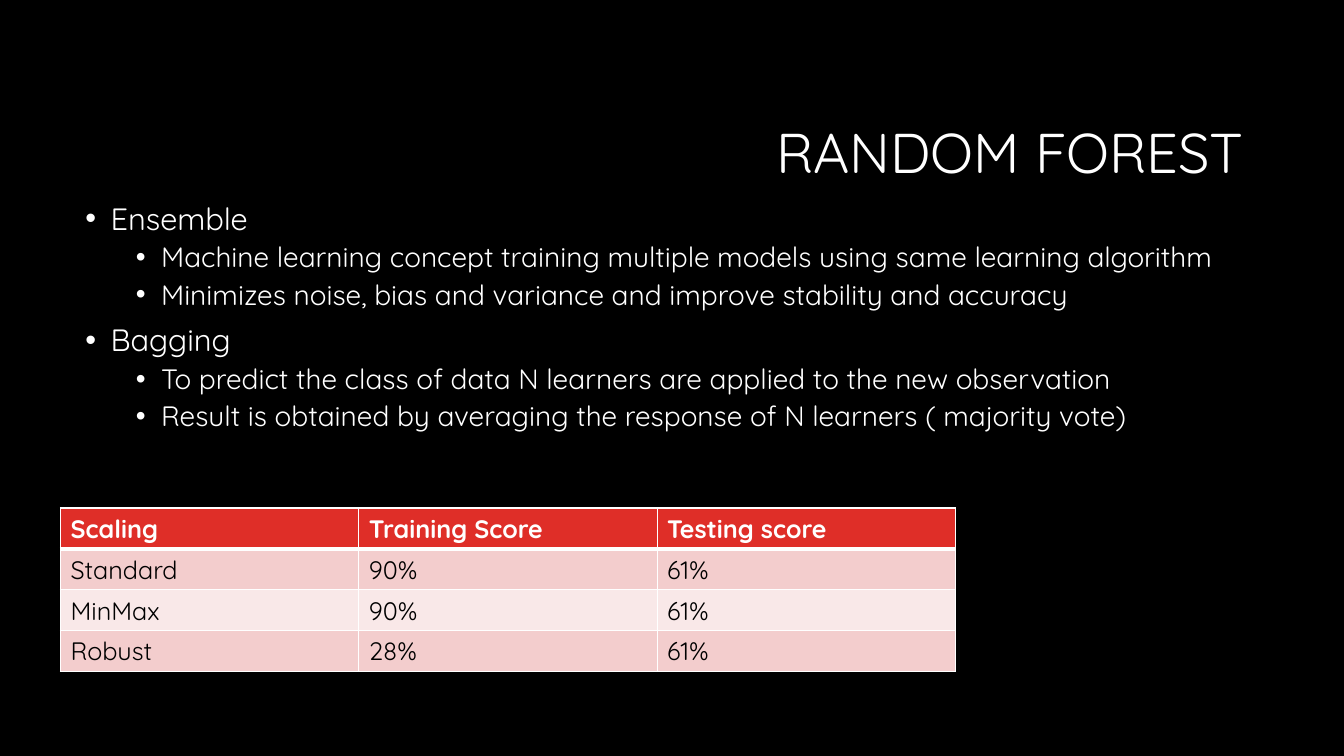
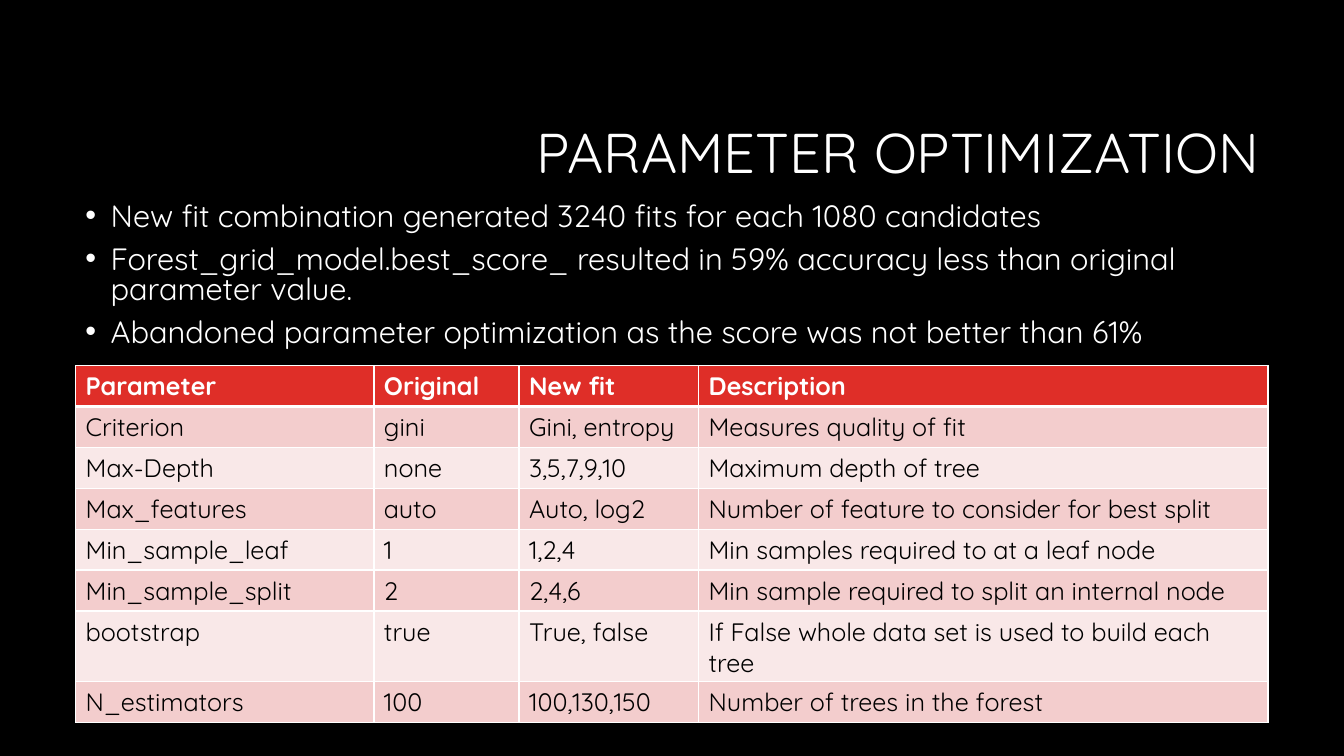
from dataclasses import dataclass

from lxml import etree
from pptx import Presentation
from pptx.dml.color import RGBColor
from pptx.enum.text import MSO_ANCHOR, PP_ALIGN
from pptx.oxml.ns import qn
from pptx.util import Pt

RIGHT = PP_ALIGN.RIGHT
MIDDLE = MSO_ANCHOR.MIDDLE
TOP = MSO_ANCHOR.TOP


@dataclass(frozen=True)
class Theme:
    font: str = "Quicksand"
    background: str = "000000"
    light: str = "FFFFFF"
    dark: str = "000000"
    header: str = "DF2E28"
    bands: tuple = ("F3CDCD", "F9E8E8")
    title_size: float = 40
    bullet_sizes: tuple = (22, 20)
    cell_size: float = 18
    thin: float = 1
    thick: float = 3


THEME = Theme()

# Shared layout, in points
SLIDE_W, SLIDE_H = 960, 540
LEFT, BODY_TOP, BODY_W = 54, 141.8, 851.8
TITLE_BOX = (228.2, 60.5, 678.2, 101.5)
ROW_H = 29.2
INDENT = 18
BULLET_LEFT = (18, 54)
SPACE_BEFORE = (10, 5)

# Slide content: bullets are (level, text)
FOREST_BULLETS = [
    (0, "Ensemble"),
    (1, "Machine learning concept training multiple models using same learning algorithm"),
    (1, "Minimizes noise, bias and variance and improve stability and accuracy"),
    (0, "Bagging"),
    (1, "To predict the class of data N learners are applied to the new observation"),
    (1, "Result is obtained by averaging the response of N learners ( majority vote)"),
]
FOREST_SCORES = [
    ("Scaling", "Training Score", "Testing score"),
    ("Standard", "90%", "61%"),
    ("MinMax", "90%", "61%"),
    ("Robust", "28%", "61%"),
]
TUNING_BULLETS = [
    (0, "New fit combination generated 3240 fits for each 1080 candidates"),
    (0, "Forest_grid_model.best_score_ resulted in 59% accuracy less than original parameter value."),
    (0, "Abandoned parameter optimization as the score was not better than 61%"),
]
TUNING_PARAMETERS = [
    ("Parameter", "Original", "New fit", "Description"),
    ("Criterion", "gini", "Gini, entropy", "Measures quality of fit"),
    ("Max-Depth", "none", "3,5,7,9,10", "Maximum depth of tree"),
    ("Max_features", "auto", "Auto, log2", "Number of feature to consider for best split"),
    ("Min_sample_leaf", "1", "1,2,4", "Min samples required to at a leaf node"),
    ("Min_sample_split", "2", "2,4,6", "Min sample required to split an internal node"),
    ("bootstrap", "true", "True, false", "If False whole data set is used to build each tree"),
    ("N_estimators", "100", "100,130,150", "Number of trees in the forest"),
]


def rgb(color):
    return RGBColor.from_string(color)


def add_run(p, text, size, color, bold=False):
    r = p.add_run()
    r.text = text
    r.font.name = THEME.font
    r.font.size = Pt(size)
    r.font.bold = bold
    r.font.color.rgb = rgb(color)


def add_text_frame(s, box, anchor):
    tf = s.shapes.add_textbox(*map(Pt, box)).text_frame
    tf.word_wrap = True
    tf.vertical_anchor = anchor
    return tf


def add_slide(prs, title):
    s = prs.slides.add_slide(prs.slide_layouts[6])
    s.background.fill.solid()
    s.background.fill.fore_color.rgb = rgb(THEME.background)
    p = add_text_frame(s, TITLE_BOX, MIDDLE).paragraphs[0]
    p.alignment = RIGHT
    p.line_spacing = 0.9
    add_run(p, title, THEME.title_size, THEME.light)
    return s


def set_bullet(p, level):
    p.level = level
    pPr = p._p.get_or_add_pPr()
    pPr.set("marL", str(Pt(BULLET_LEFT[level])))
    pPr.set("indent", str(-Pt(INDENT)))
    etree.SubElement(pPr, qn("a:buFont"), typeface="Arial")
    etree.SubElement(pPr, qn("a:buChar"), char="•")


def add_bullets(s, items, height, line_spacing):
    tf = add_text_frame(s, (LEFT, BODY_TOP, BODY_W, height), TOP)
    for i, (level, text) in enumerate(items):
        p = tf.add_paragraph() if i else tf.paragraphs[0]
        set_bullet(p, level)
        p.line_spacing = line_spacing
        p.space_before = Pt(SPACE_BEFORE[level] if i else 0)
        add_run(p, text, THEME.bullet_sizes[level], THEME.light)


def set_borders(cell, top, bottom):
    tcPr = cell._tc.get_or_add_tcPr()
    widths = {"L": THEME.thin, "R": THEME.thin, "T": top, "B": bottom}
    for side, width in widths.items():
        ln = etree.SubElement(tcPr, qn(f"a:ln{side}"), w=str(Pt(width)))
        fill = etree.SubElement(ln, qn("a:solidFill"))
        etree.SubElement(fill, qn("a:srgbClr"), val=THEME.light)


def style_cell(cell, row, text):
    is_header = row == 0
    # Borders come before the fill in the cell properties
    set_borders(cell,
                top=THEME.thick if row == 1 else THEME.thin,
                bottom=THEME.thick if is_header else THEME.thin)
    cell.fill.solid()
    cell.fill.fore_color.rgb = rgb(THEME.header if is_header else THEME.bands[(row - 1) % 2])
    add_run(cell.text_frame.paragraphs[0], text, THEME.cell_size,
            THEME.light if is_header else THEME.dark, is_header)


def add_data_table(s, left, top, col_widths, rows):
    table = s.shapes.add_table(len(rows), len(col_widths), Pt(left), Pt(top),
                               Pt(sum(col_widths)), Pt(ROW_H * len(rows))).table
    for column, width in zip(table.columns, col_widths):
        column.width = Pt(width)
    for i, texts in enumerate(rows):
        table.rows[i].height = Pt(ROW_H)
        for j, text in enumerate(texts):
            style_cell(table.cell(i, j), i, text)


def main():
    prs = Presentation()
    prs.slide_width, prs.slide_height = Pt(SLIDE_W), Pt(SLIDE_H)

    # Random forest
    s = add_slide(prs, "RANDOM FOREST ")
    add_data_table(s, 43.2, 362.9, [213.1] * 3, FOREST_SCORES)
    add_bullets(s, FOREST_BULLETS, height=221.8, line_spacing=0.9)

    # Parameter optimization
    s = add_slide(prs, "PARAMETER OPTIMIZATION")
    add_data_table(s, LEFT, 261.2, [213.1, 103.7, 128.2, 406.8], TUNING_PARAMETERS)
    add_bullets(s, TUNING_BULLETS, height=119.5, line_spacing=0.8)

    prs.save("out.pptx")


if __name__ == "__main__":
    main()
